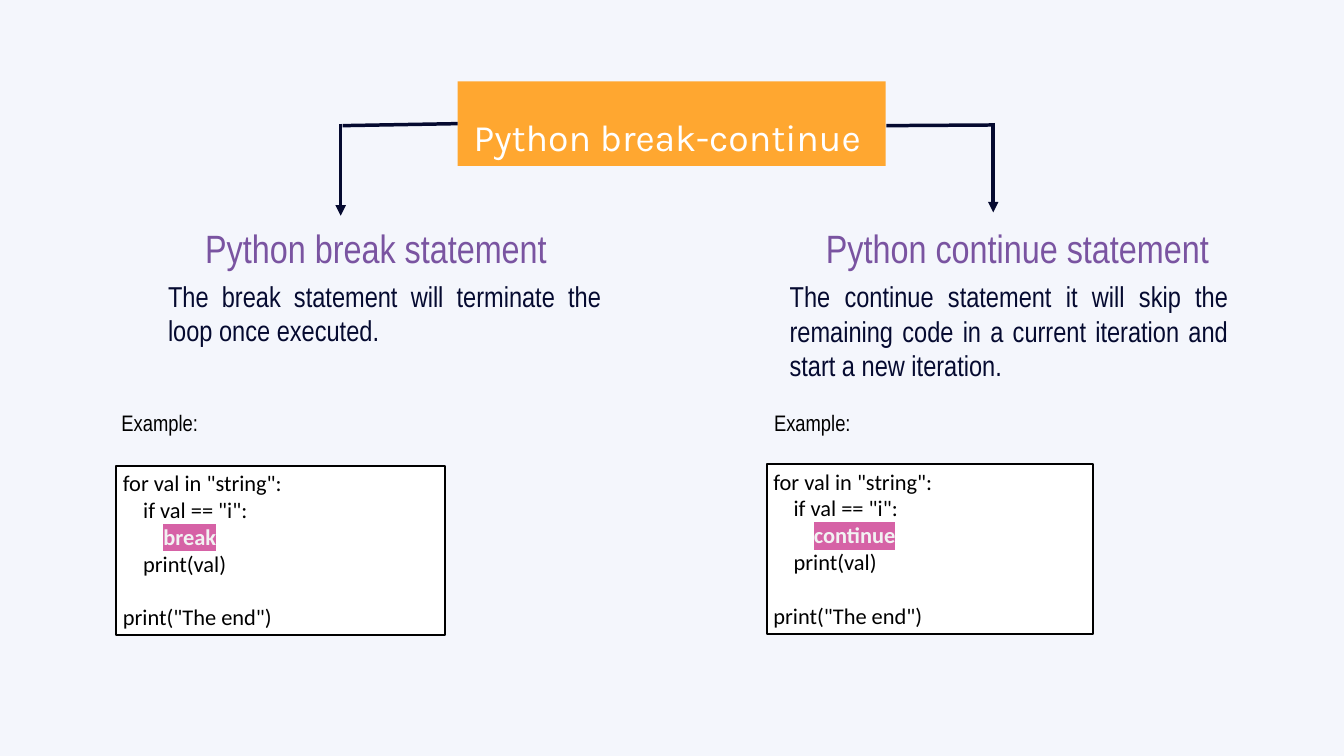
"""Build a slide that compares the break and continue statements of Python."""
import lxml.etree
import pptx
import pptx.dml.color
import pptx.enum.shapes
import pptx.enum.text
import pptx.oxml.ns
import pptx.util

Inches = pptx.util.Inches
Align = pptx.enum.text.PP_ALIGN
Anchor = pptx.enum.text.MSO_ANCHOR
NAVY, PURPLE, ORANGE, PINK = "050A30", "7A54A1", "FFA730", "D662A6"
BLACK, WHITE, PALE, BACKGROUND = "000000", "FFFFFF", "F2F2F2", "F4F6FC"

STATEMENTS = [
    {
        "heading": "Python break statement",
        "heading_at": (2.24, 3.34, 6.71, 0.7),
        "body": "The break statement will terminate the loop once executed.",
        "body_at": (2.5, 4.14, 6.45, 1.02),
        "keyword": "break",
        "example_at": (1.71, 6.04, 8.5, 0.5),
        "code_at": (1.73, 6.93, 4.89, 2.52),
    },
    {
        "heading": "Python continue statement",
        "heading_at": (11.45, 3.34, 7.38, 0.7),
        "body": "The continue statement it will skip the remaining code "
                "in a current iteration and start a new iteration.",
        "body_at": (11.75, 4.15, 6.53, 1.54),
        "keyword": "continue",
        "example_at": (11.42, 6.04, 8.5, 0.5),
        "code_at": (11.41, 6.91, 4.86, 2.52),
    },
]


def color(value):
    """Return the colour of a hex string."""
    return pptx.dml.color.RGBColor.from_string(value)


def add_element(parent, tag, **attributes):
    """Append a DrawingML element to a parent."""
    return lxml.etree.SubElement(parent, pptx.oxml.ns.qn(tag), **attributes)


def place(shape, at):
    """Move and size a shape."""
    shape.left, shape.top, shape.width, shape.height = map(Inches, at)


def set_frame(box, anchor, inset=None):
    """Set wrapping, anchor and insets of a box and return its text frame."""
    frame = box.text_frame
    frame.word_wrap = True
    frame.auto_size = pptx.enum.text.MSO_AUTO_SIZE.NONE
    frame.vertical_anchor = anchor
    if inset is not None:
        frame.margin_left = frame.margin_right = Inches(inset)
        frame.margin_top = frame.margin_bottom = Inches(inset)
    return frame


def add_span(para, text, font, size, fill, bold=False, highlight=None):
    """Add one formatted run to a paragraph."""
    span = para.add_run()
    span.text = text
    span.font.name = font
    span.font.size = pptx.util.Pt(size)
    span.font.bold = bold
    span.font.color.rgb = color(fill)
    if highlight:
        mark = lxml.etree.Element(pptx.oxml.ns.qn("a:highlight"))
        add_element(mark, "a:srgbClr", val=highlight)
        span.font._element.find(pptx.oxml.ns.qn("a:solidFill")).addnext(mark)


def fill_placeholder(box, at, text, font, size, fill, spacing, align,
                     anchor=Anchor.TOP, inset=0):
    """Place a placeholder and write one unbulleted paragraph in it."""
    place(box, at)
    para = set_frame(box, anchor, inset).paragraphs[0]
    properties = para._p.get_or_add_pPr()
    properties.set("marL", "0")
    properties.set("indent", "0")
    add_element(properties, "a:buNone")
    para.alignment = align
    para.line_spacing = pptx.util.Pt(spacing)
    para.space_before = pptx.util.Pt(0)
    add_span(para, text, font, size, fill)


def add_title(page):
    """Turn the title placeholder into a rounded banner."""
    box = page.shapes.title
    fill_placeholder(box, (6.81, 1.21, 6.37, 1.26), "Python break-continue ",
                     "Karla", 40, WHITE, 76.2, Align.CENTER, Anchor.MIDDLE, None)
    outline = add_element(box._element.spPr, "a:prstGeom", prst="roundRect")
    guides = add_element(outline, "a:avLst")
    add_element(guides, "a:gd", name="adj", fmla="val 35100")
    box.fill.solid()
    box.fill.fore_color.rgb = color(ORANGE)


def add_line(page, start, end, arrow=False):
    """Draw a straight connector, with an arrowhead at its end if asked."""
    line = page.shapes.add_connector(
        pptx.enum.shapes.MSO_CONNECTOR.STRAIGHT, *map(Inches, start + end))
    line.line.color.rgb = color(NAVY)
    line.line.width = pptx.util.Pt(3.75)
    if arrow:
        add_element(line.line._get_or_add_ln(), "a:tailEnd", type="triangle")
    add_element(line._element.spPr, "a:effectLst")


def add_example_label(page, at):
    """Add the label above a code box."""
    box = page.shapes.add_textbox(*map(Inches, at))
    para = set_frame(box, Anchor.TOP).paragraphs[0]
    add_span(para, "Example:", "Arial Narrow", 24, BLACK)


def add_code(page, at, keyword):
    """Add a code box with its keyword highlighted."""
    box = page.shapes.add_shape(
        pptx.enum.shapes.MSO_SHAPE.RECTANGLE, *map(Inches, at))
    box.shadow.inherit = False
    box.fill.solid()
    box.fill.fore_color.rgb = color(WHITE)
    box.line.color.rgb = color(BLACK)
    box.line.width = pptx.util.Pt(2)
    frame = set_frame(box, Anchor.TOP)
    lines = ['for val in "string":', '    if val == "i":', "        " + keyword,
             "    print(val)", "", 'print("The end")']
    for index, text in enumerate(lines):
        para = frame.add_paragraph() if index else frame.paragraphs[0]
        para.alignment = Align.LEFT
        before, found, _ = text.partition(keyword)
        if before:
            add_span(para, before, "Calibri", 24, BLACK)
        if found:
            add_span(para, found, "Calibri", 24, PALE, True, PINK)
        if not text:
            add_element(para._p, "a:endParaRPr", sz="2400")


def main():
    """Build and save the deck."""
    deck = pptx.Presentation()
    deck.slide_width, deck.slide_height = Inches(20), Inches(11.25)
    page = deck.slides.add_slide(deck.slide_layouts.get_by_name("Comparison"))
    page.background.fill.solid()
    page.background.fill.fore_color.rgb = color(BACKGROUND)
    add_title(page)
    add_line(page, (5.1, 1.87), (6.81, 1.84))
    add_line(page, (13.19, 1.87), (14.75, 1.86))
    add_line(page, (5.07, 1.84), (5.07, 3.21), arrow=True)
    add_line(page, (14.78, 1.83), (14.78, 3.16), arrow=True)
    for index, item in enumerate(STATEMENTS):
        heading = page.placeholders[2 * index + 1]
        body = page.placeholders[2 * index + 2]
        fill_placeholder(heading, item["heading_at"], item["heading"],
                         "Arial Narrow", 42.3, PURPLE, 50.7, Align.CENTER)
        fill_placeholder(body, item["body_at"], item["body"],
                         "Arial Narrow", 30.8, NAVY, 37, Align.JUSTIFY)
        add_example_label(page, item["example_at"])
        add_code(page, item["code_at"], item["keyword"])
    deck.save("out.pptx")


if __name__ == "__main__":
    main()
